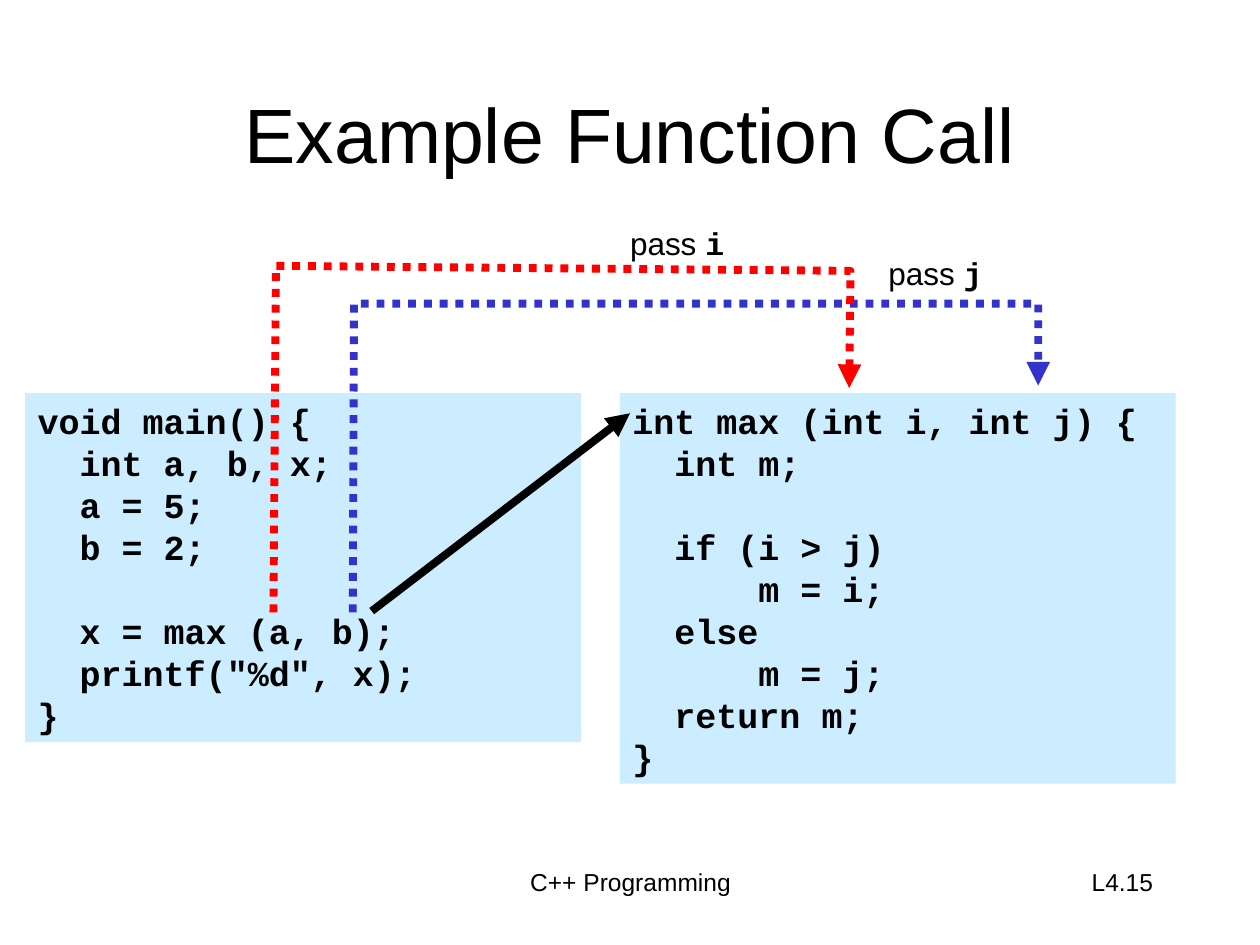
from lxml.etree import SubElement
from pptx import Presentation
from pptx.dml.color import RGBColor
from pptx.enum.dml import MSO_LINE
from pptx.enum.shapes import MSO_CONNECTOR, MSO_SHAPE
from pptx.enum.text import MSO_ANCHOR, PP_ALIGN
from pptx.oxml.ns import qn
from pptx.util import Inches, Pt

MAIN_CODE = """void main() {
  int a, b, x;
  a = 5;
  b = 2;
\t 
  x = max (a, b);
  printf("%d", x);
}"""

MAX_CODE = """int max (int i, int j) {
  int m;
\t 
  if (i > j)
\tm = i;
  else
  \tm = j;
  return m;
}"""


def color(hex_string):
    return RGBColor.from_string(hex_string)


class CallSlide:
    """Draws the elements of a function call diagram in one style."""

    text_font, code_font = "Arial", "Courier New"
    ink, panel = "000000", "CCECFF"
    line_width = Pt(4.5)

    def __init__(self, slide):
        self.slide = slide
        self.shapes = slide.shapes

    def style(self, font, size, name, bold=False):
        font.size, font.name, font.bold = Pt(size), name, bold
        font.color.rgb = color(self.ink)

    def text(self, words, left, top, width, height, size, align,
             anchor=MSO_ANCHOR.TOP):
        frame = self.shapes.add_textbox(
            Inches(left), Inches(top), Inches(width), Inches(height)).text_frame
        frame.word_wrap = True
        frame.vertical_anchor = anchor
        paragraph = frame.paragraphs[0]
        paragraph.text = words
        paragraph.alignment = align
        self.style(paragraph.font, size, self.text_font)

    def pass_label(self, parameter, left, top):
        frame = self.shapes.add_textbox(
            Inches(left), Inches(top), Inches(0.75), Inches(0.3)).text_frame
        frame.word_wrap = False
        frame.margin_left = frame.margin_right = 0
        frame.margin_top = frame.margin_bottom = 0
        for words, name, bold in (("pass ", self.text_font, False),
                                  (parameter, self.code_font, True)):
            run = frame.paragraphs[0].add_run()
            run.text = words
            self.style(run.font, 18, name, bold)

    def code(self, source, left, height):
        box = self.shapes.add_shape(
            MSO_SHAPE.RECTANGLE, Inches(left), Inches(3.12), Inches(4.41), Inches(height))
        box.shadow.inherit = False
        box.fill.solid()
        box.fill.fore_color.rgb = color(self.panel)
        box.line.fill.background()
        frame = box.text_frame
        frame.word_wrap = True
        frame.vertical_anchor = MSO_ANCHOR.TOP
        paragraph = frame.paragraphs[0]
        paragraph.text = source
        paragraph.alignment = PP_ALIGN.LEFT
        self.style(paragraph.font, 20, self.code_font, True)
        tabs = paragraph._p.get_or_add_pPr()
        tab_list = tabs.makeelement(qn("a:tabLst"))
        tabs.insert(0, tab_list)
        SubElement(tab_list, qn("a:tab"), pos=str(Inches(1)), algn="l")

    def arrowhead(self, line, hex_string):
        line.color.rgb = color(hex_string)
        line.width = self.line_width
        SubElement(line._get_or_add_ln(), qn("a:tailEnd"), type="triangle")

    def call_arrow(self, start, end):
        arrow = self.shapes.add_connector(
            MSO_CONNECTOR.STRAIGHT, *(Inches(value) for value in start + end))
        self.arrowhead(arrow.line, self.ink)
        SubElement(arrow._element.spPr, qn("a:effectLst"))

    def pass_arrow(self, points, hex_string):
        start, *corners = [(Inches(x), Inches(y)) for x, y in points]
        builder = self.shapes.build_freeform(*start)
        builder.add_line_segments(corners, close=False)
        route = builder.convert_to_shape()
        route.shadow.inherit = False
        route.fill.background()
        route.line.dash_style = MSO_LINE.ROUND_DOT
        self.arrowhead(route.line, hex_string)


def main():
    presentation = Presentation()
    presentation.slide_width, presentation.slide_height = Inches(10), Inches(7.5)
    call = CallSlide(presentation.slides.add_slide(presentation.slide_layouts[6]))

    call.text("C++ Programming", 2.92, 6.83, 4.17, 0.5, 14, PP_ALIGN.CENTER)
    call.text("Example Function Call", 0.75, 0.27, 8.5, 1.56, 44,
              PP_ALIGN.CENTER, MSO_ANCHOR.MIDDLE)
    call.pass_label("i", 5, 1.78)
    call.pass_label("j", 7.05, 2.02)
    call.code(MAX_CODE, 4.92, 3.1)
    call.code(MAIN_CODE, 0.2, 2.77)
    call.call_arrow((2.95, 4.85), (5, 3.28))
    call.pass_arrow([(2.8, 4.86), (2.81, 2.41), (8.24, 2.41), (8.24, 3.06)], "3333CC")
    call.pass_arrow([(2.17, 4.86), (2.19, 2.11), (6.75, 2.15), (6.74, 3.08)], "FF0000")
    call.text("L4.15", 7.17, 6.83, 2.08, 0.5, 14, PP_ALIGN.RIGHT)

    presentation.save("out.pptx")


if __name__ == "__main__":
    main()
